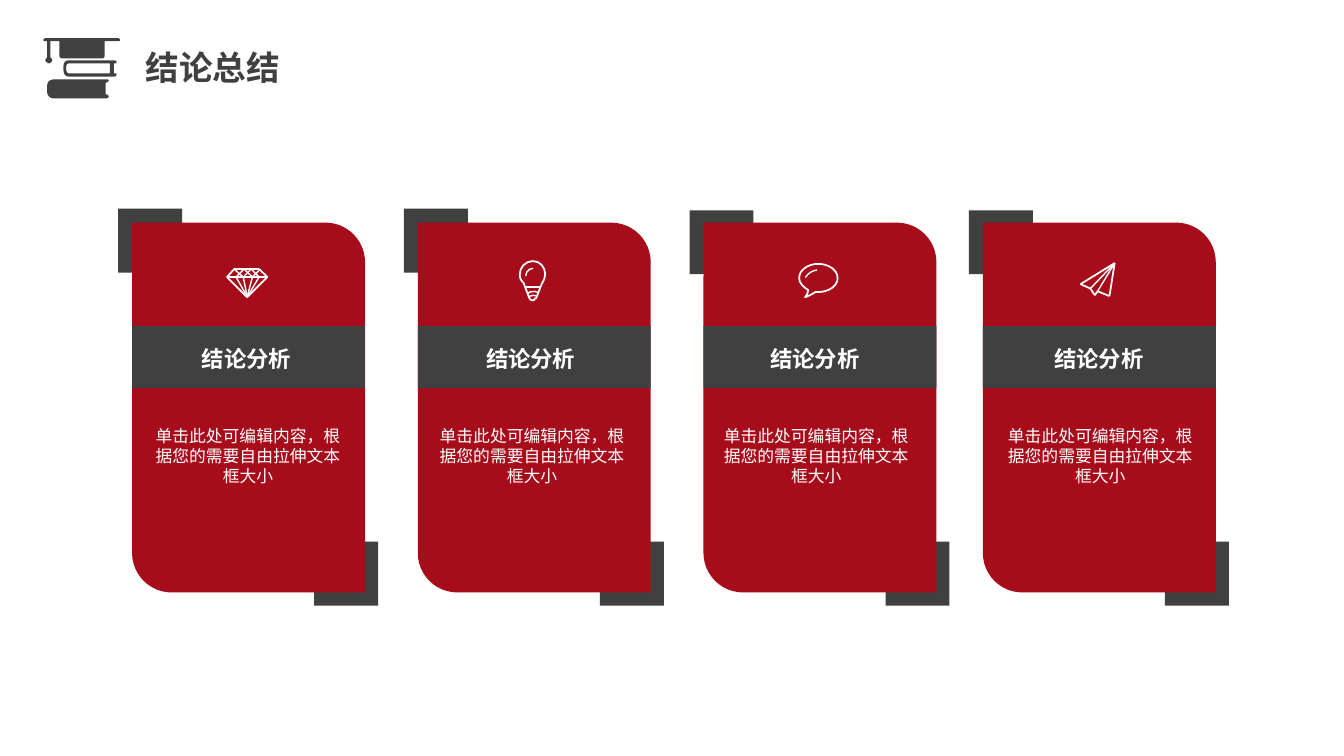
from lxml.etree import SubElement
from pptx import Presentation
from pptx.dml.color import RGBColor
from pptx.enum.shapes import MSO_CONNECTOR as Link, MSO_SHAPE as Kind
from pptx.enum.text import MSO_AUTO_SIZE as Auto, PP_ALIGN as Align
from pptx.oxml.ns import qn
from pptx.util import Cm, Pt

HUES = {"red": "A70C1B", "dark": "404040", "white": "FFFFFF"}
FACE = "Noto Sans CJK SC"
HEAD = "结论分析"
BODY = "单击此处可编辑内容，根据您的需要自由拉伸文本框大小"
UNIT = Cm(0.01)  # icon points are in tenths of a millimetre

# Cap, tassel and two books: a pair is a corner, six numbers are a curve
CAP = [
    [(165, 147), (165, 150, 163, 152, 160, 152), (152, 152), (137, 152),
     (25, 152), (18, 152, 10, 145, 10, 137), (10, 119),
     (10, 109, 18, 104, 25, 104), (137, 104), (152, 104),
     (160, 104), (163, 104, 165, 104, 165, 107),
     (165, 109, 163, 112, 160, 112), (157, 112), (157, 142), (160, 142),
     (163, 142, 165, 145, 165, 147)],
    [(185, 91), (185, 94, 183, 97, 180, 97), (173, 97), (157, 97), (64, 97),
     (56, 97, 51, 91, 51, 81), (51, 71), (51, 61, 56, 56, 64, 56),
     (157, 56), (173, 56), (180, 56), (183, 56, 185, 58, 185, 61),
     (185, 64, 183, 64, 180, 64), (178, 64), (178, 89), (180, 89),
     (183, 89, 185, 89, 185, 91)],
    [(64, 89), (157, 89), (168, 89), (168, 64), (157, 64), (64, 64),
     (61, 64, 58, 66, 58, 71), (58, 81), (58, 86, 61, 89, 64, 89)],
    [(189, 0), (150, 0), (46, 0), (5, 0), (3, 0, 0, 3, 0, 5),
     (0, 8, 3, 8, 5, 8), (10, 8), (10, 48), (8, 51, 5, 53, 5, 56),
     (5, 58, 10, 64, 15, 64), (18, 64, 23, 58, 23, 56),
     (23, 53, 20, 51, 18, 48), (18, 8), (41, 8), (41, 46),
     (41, 48, 43, 51, 46, 51), (150, 51), (152, 51, 155, 48, 155, 46),
     (155, 8), (189, 8), (191, 8, 194, 8, 194, 5), (194, 3, 191, 0, 189, 0)],
]
BULB = [(33, 0), (51, 0, 64, 15, 64, 33), (64, 41, 61, 48, 56, 56), (41, 94),
        (38, 94), (38, 97, 36, 99, 33, 99), (28, 99, 25, 97, 23, 91),
        (10, 56), (3, 51, 0, 43, 0, 33), (0, 15, 15, 0, 33, 0)]
CHAT = [(48, 0), (74, 0, 97, 15, 97, 36), (97, 56, 74, 71, 48, 71), (41, 71),
        (33, 76, 25, 81, 15, 84), (18, 81, 23, 74, 23, 66),
        (10, 58, 0, 48, 0, 36), (0, 15, 23, 0, 48, 0)]


def hue(name):
    return RGBColor.from_string(HUES[name])


def paint(shape, fill=None, width=None):
    shape.shadow.inherit = False
    if fill:
        shape.fill.solid()
        shape.fill.fore_color.rgb = hue(fill)
    else:
        shape.fill.background()
    if width:
        shape.line.color.rgb = hue("white")
        shape.line.width = Pt(width)
    else:
        shape.line.fill.background()


def block(slide, x, y, w, h, fill, kind=Kind.RECTANGLE):
    shape = slide.shapes.add_shape(kind, Cm(x), Cm(y), Cm(w), Cm(h))
    paint(shape, fill)
    return shape


def write(slide, x, y, w, h, text, size, fill, bold=False, align=Align.CENTER, flush=True):
    box = slide.shapes.add_textbox(Cm(x), Cm(y), Cm(w), Cm(h))
    frame = box.text_frame
    frame.word_wrap = True
    frame.auto_size = Auto.SHAPE_TO_FIT_TEXT
    if flush:
        frame.margin_left = frame.margin_right = 0
        frame.margin_top = frame.margin_bottom = 0
    frame.text = text
    para = frame.paragraphs[0]
    para.alignment = align
    run = para.runs[0]
    font = run.font
    font.size, font.bold, font.name = Pt(size), bold, FACE
    font.color.rgb = hue(fill)
    SubElement(run._r.get_or_add_rPr(), qn("a:ea"), typeface=FACE)


def form(shapes, x, y, loops, fill=None, width=None):
    # The corners set the size of the outline
    pen = shapes.build_freeform(*loops[0][0], scale=UNIT)
    for loop in loops:
        pen.move_to(*loop[0])
        pen.add_line_segments([step[-2:] for step in loop[1:]], close=True)
    shape = pen.convert_to_shape(Cm(x), Cm(y))
    paint(shape, fill, width)
    # Redraw the outline with true curves
    route = next(shape._element.iter(qn("a:path")))
    for part in list(route):
        route.remove(part)
    for loop in loops:
        for i, step in enumerate(loop):
            tag = "moveTo" if i == 0 else "lnTo" if len(step) == 2 else "cubicBezTo"
            part = SubElement(route, qn("a:" + tag))
            for px, py in zip(step[::2], step[1::2]):
                SubElement(part, qn("a:pt"), x=str(px), y=str(py))
        SubElement(route, qn("a:close"))


def lines(shapes, x, y, pairs, width):
    for (ax, ay), (bx, by) in pairs:
        line = shapes.add_connector(
            Link.STRAIGHT, Cm(x) + ax * UNIT, Cm(y) + ay * UNIT,
            Cm(x) + bx * UNIT, Cm(y) + by * UNIT)
        line.line.color.rgb = hue("white")
        line.line.width = Pt(width)
        SubElement(line._element.spPr, qn("a:effectLst"))


def curve(shapes, x, y, left, top, size, turn, start, end):
    arc = shapes.add_shape(Kind.ARC, Cm(x) + left * UNIT, Cm(y) + top * UNIT,
                           size * UNIT, size * UNIT)
    arc.rotation = turn
    arc.adjustments[0], arc.adjustments[1] = start, end
    paint(arc, width=1)


# Icons, each placed relative to its card's top left corner
def gem(shapes, x, y):
    x, y = x + 2.39, y + 1.17
    rim = [(18, 0), (81, 0), (102, 20), (51, 71), (0, 20)]
    lines(shapes, x, y, zip(rim, rim[1:] + rim[:1]), 1.25)
    cuts = [((0, 20), (102, 20))]
    cuts += [((51, 70), (to, 20)) for to in (23, 41, 64, 81)]
    facets = ((18, 41), (43, 64), (61, 81), (43, 23), (61, 41), (84, 64))
    cuts += [((a, 0), (b, 20)) for a, b in facets]
    lines(shapes, x, y, cuts, 1)


def bulb(shapes, x, y):
    x, y = x + 2.57, y + 0.97
    form(shapes, x, y, [BULB], width=1.25)
    curve(shapes, x, y, 15, 18, 38, 270, 162, 215.5)
    lines(shapes, x, y, [((13, 66), (51, 66))], 1.25)
    curve(shapes, x, y, 13, 76, 43, 309, 168.25, 210.6)
    curve(shapes, x, y, 15, 86, 38, 300, 175.25, 210.13)


def chat(shapes, x, y):
    x, y = x + 2.41, y + 1.04
    form(shapes, x, y, [CHAT], width=1.25)
    curve(shapes, x, y, 10, 15, 79, 301.2, 162, 193.58)


def plane(shapes, x, y):
    x, y = x + 2.46, y + 1.02
    tip = (86, 0)
    rim = [tip, (0, 53), (25, 64), (36, 81), (43, 71), (73, 83), tip]
    lines(shapes, x, y, zip(rim, rim[1:]), 1.25)
    lines(shapes, x, y, [(tip, (25, 64)), (tip, (43, 71))], 1)


def header(slide, x, y):
    form(slide.shapes, x, y, CAP, fill="dark")
    write(slide, x + 2.33, y + 0.1, 6.3, 1.27, "结论总结", 24, "dark", True,
          Align.LEFT, flush=False)


def card(slide, x, y, w, h, icon, left, lift):
    # Corner squares behind the panel
    side, out = 1.61, 0.33
    block(slide, x - 0.35, y - lift, side, side, "dark")
    block(slide, x + w + out - side, y + h + out - side, side, side, "dark")
    # Panel and title band
    panel = block(slide, x, y, w, h, "red", Kind.ROUND_2_DIAG_RECTANGLE)
    panel.adjustments[0], panel.adjustments[1] = 0, 0.17
    block(slide, x, y + 2.61, w, 1.56, "dark")
    icon(slide.shapes.add_group_shape().shapes, x, y)
    # Texts
    write(slide, left + 0.36, y + 3.09, 4.19, 0.69, HEAD, 16, "white", True)
    write(slide, left, y + 5.11, 4.98, 1.55, BODY, 12, "white")


def main():
    deck = Presentation()
    deck.slide_width, deck.slide_height = Cm(33.87), Cm(19.05)
    slide = deck.slides.add_slide(deck.slide_layouts[6])
    header(slide, 1.09, 0.96)
    cards = [(3.33, gem, 0.35), (10.53, bulb, 0.35),
             (17.73, chat, 0.31), (24.77, plane, 0.31)]
    for i, (x, icon, lift) in enumerate(cards):
        card(slide, x, 5.61, 5.87, 9.32, icon, 3.76 + 7.16 * i, lift)
    deck.save("out.pptx")


if __name__ == "__main__":
    main()
